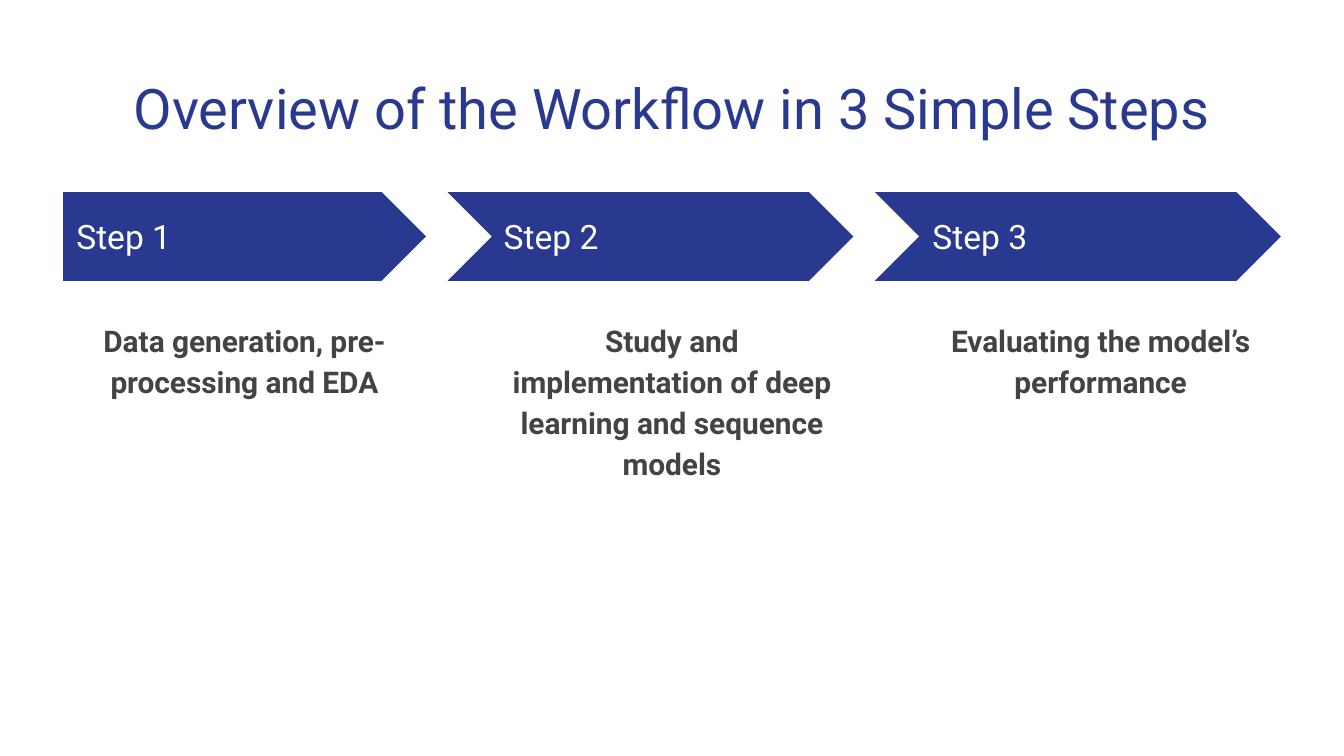
from pptx import Presentation
from pptx.dml.color import RGBColor
from pptx.enum.shapes import MSO_SHAPE
from pptx.enum.text import MSO_ANCHOR, MSO_AUTO_SIZE, PP_ALIGN
from pptx.util import Inches, Pt

TITLE = "Overview of the Workflow in 3 Simple Steps"
# label, description, left edge of the arrow, left edge of the text
STEPS = [
    ("Step 1", "Data generation, pre-processing and EDA", 0.47, 0.47),
    ("Step 2", "Study and implementation of deep learning and sequence models", 3.33, 3.65),
    ("Step 3", "Evaluating the model’s performance", 6.51, 6.84),
]
COLORS = {"background": "FFFFFF", "blue": "2A3990", "white": "FFFFFF", "gray": "434343"}
FONT = "Roboto"

SLIDE_WIDTH = 10
SLIDE_HEIGHT = SLIDE_WIDTH * 9 / 16
COLUMN_WIDTH, CHEVRON_WIDTH = 2.7, 3.02
ARROW_TOP, ARROW_HEIGHT = 1.43, 0.66


def place(shape, left, top, width, height):
    shape.left, shape.top = Inches(left), Inches(top)
    shape.width, shape.height = Inches(width), Inches(height)


def write(shape, text, size, color, bold=False, align=PP_ALIGN.LEFT,
          anchor=MSO_ANCHOR.TOP, line_spacing=1.0, space_after=0):
    frame = shape.text_frame
    frame.word_wrap = True
    frame.auto_size = MSO_AUTO_SIZE.NONE
    frame.vertical_anchor = anchor
    frame.margin_left = frame.margin_right = Inches(0.1)
    frame.margin_top = frame.margin_bottom = Inches(0.1)
    para = frame.paragraphs[0]
    para.alignment = align
    para.line_spacing = line_spacing
    para.space_before, para.space_after = Pt(0), Pt(space_after)
    span = para.add_run()
    span.text = text
    span.font.name, span.font.size, span.font.bold = FONT, Pt(size), bold
    span.font.color.rgb = RGBColor.from_string(COLORS[color])


def add_text(page, text, left, top, width, height, **text_format):
    box = page.shapes.add_textbox(0, 0, 0, 0)
    place(box, left, top, width, height)
    write(box, text, **text_format)


def add_arrow(page, kind, left, width):
    arrow = page.shapes.add_shape(kind, 0, 0, 0, 0)
    place(arrow, left, ARROW_TOP, width, ARROW_HEIGHT)
    arrow.adjustments[0] = 0.5
    arrow.shadow.inherit = False
    arrow.fill.solid()
    arrow.fill.fore_color.rgb = RGBColor.from_string(COLORS["blue"])
    arrow.line.fill.background()


def add_step(page, label, description, arrow_left, text_left):
    if arrow_left == text_left:
        add_arrow(page, MSO_SHAPE.PENTAGON, arrow_left, COLUMN_WIDTH)
    else:
        add_arrow(page, MSO_SHAPE.CHEVRON, arrow_left, CHEVRON_WIDTH)
    add_text(page, label, text_left, 1.59, 2.47, 0.34, size=18, color="white",
             anchor=MSO_ANCHOR.MIDDLE)
    add_text(page, description, text_left, 2.26, COLUMN_WIDTH, 2.9, size=16,
             color="gray", bold=True, align=PP_ALIGN.CENTER,
             line_spacing=1.15, space_after=16)


def main():
    deck = Presentation()
    deck.slide_width, deck.slide_height = Inches(SLIDE_WIDTH), Inches(SLIDE_HEIGHT)
    page = deck.slides.add_slide(deck.slide_layouts[5])
    page.background.fill.solid()
    page.background.fill.fore_color.rgb = RGBColor.from_string(COLORS["background"])

    title = page.shapes.title
    place(title, 0.34, 0.45, 9.32, 0.66)
    write(title, TITLE, size=30, color="blue", align=PP_ALIGN.CENTER)

    for step in STEPS:
        add_step(page, *step)
    deck.save("out.pptx")


if __name__ == "__main__":
    main()
